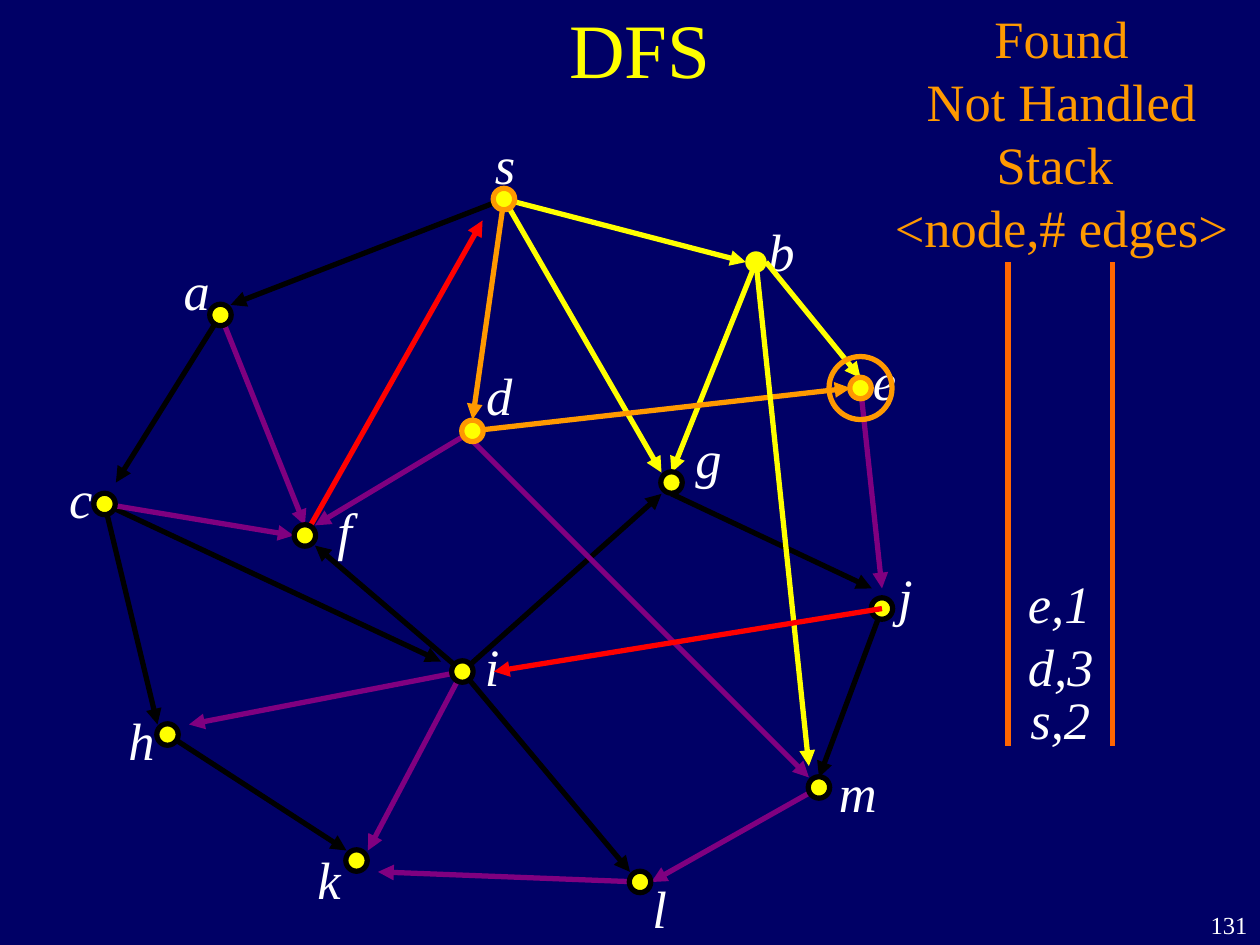
import pptx
import pptx.util
import pptx.dml.color
import pptx.enum.shapes
import pptx.enum.text
import pptx.oxml
from dataclasses import dataclass

Inches = pptx.util.Inches
Pt = pptx.util.Pt
ALIGN = pptx.enum.text.PP_ALIGN


@dataclass(frozen=True)
class Theme:
    font: str = "Times New Roman"
    background: str = "000066"
    yellow: str = "FFFF00"
    orange: str = "FF9900"
    rail: str = "FF6600"
    purple: str = "800080"
    black: str = "000000"
    red: str = "FF0000"
    white: str = "FFFFFF"
    title_size: int = 44
    text_size: int = 30
    number_size: int = 14
    line_width: int = 3


theme = Theme()
rgb = pptx.dml.color.RGBColor.from_string

deck = pptx.Presentation()
deck.slide_width, deck.slide_height = Inches(10), Inches(7.5)
page = deck.slides.add_slide(deck.slide_layouts[5])
page.background.fill.solid()
page.background.fill.fore_color.rgb = rgb(theme.background)


def write(box, text, size, color, align=ALIGN.LEFT, italic=False, spacing=None):
    frame = box.text_frame
    frame.text = text
    para = frame.paragraphs[0]
    para.alignment = align
    if spacing:
        para.line_spacing = Pt(spacing)
    style = {"name": theme.font, "size": Pt(size), "italic": italic, "bold": False}
    for span in para.runs:
        for key, value in style.items():
            setattr(span.font, key, value)
        span.font.color.rgb = rgb(color)


def draw_line(start, end, color, arrow=True):
    points = [Inches(value) for value in (*start, *end)]
    line = page.shapes.add_connector(pptx.enum.shapes.MSO_CONNECTOR.STRAIGHT, *points)
    line.line.width = Pt(theme.line_width)
    line.line.color.rgb = rgb(color)
    if arrow:
        outline = line.line._get_or_add_ln()
        outline.append(pptx.oxml.parse_xml(
            '<a:tailEnd xmlns:a="http://schemas.openxmlformats.org/drawingml/2006/main" type="triangle"/>'))
    line._element.spPr.append(pptx.oxml.parse_xml(
        '<a:effectLst xmlns:a="http://schemas.openxmlformats.org/drawingml/2006/main"/>'))


# Title
title = page.shapes.title
place = {"left": 0.83, "top": -0.25, "width": 8.5, "height": 1.25}
for key, value in place.items():
    setattr(title, key, Inches(value))
title.text_frame.vertical_anchor = pptx.enum.text.MSO_ANCHOR.MIDDLE
write(title, "DFS", theme.title_size, theme.yellow, ALIGN.CENTER)

# Page number
number = page.shapes.add_textbox(Inches(9.5), Inches(7.17), Inches(0.5), Inches(0.33))
write(number, "131", theme.number_size, theme.white, ALIGN.RIGHT)

# Nodes: centre and outline colour
nodes = {
    "b": ((6, 2.08), None),
    "s": ((4, 1.58), theme.orange),
    "a": ((1.75, 2.5), theme.black),
    "c": ((0.83, 4), theme.black),
    "i": ((3.67, 5.33), theme.black),
    "l": ((5.08, 7), theme.black),
    "k": ((2.83, 6.83), theme.black),
    "h": ((1.33, 5.83), theme.black),
    "g": ((5.33, 3.83), theme.black),
    "j": ((7, 4.83), theme.black),
    "m": ((6.5, 6.25), theme.black),
    "f": ((2.42, 4.25), theme.black),
    "d": ((3.75, 3.42), theme.orange),
    "e": ((6.83, 3.08), theme.orange),
}

# Node letters and stack entries: left, top, width
labels = {
    "s": (3.83, 1, 0.36), "a": (1.36, 2, 0.41), "c": (0.45, 3.65, 0.39),
    "h": (0.92, 5.57, 0.41), "k": (2.42, 6.67, 0.39), "f": (2.58, 3.9, 0.32),
    "i": (3.75, 4.98, 0.32), "l": (5.08, 6.9, 0.32), "m": (6.56, 5.98, 0.5),
    "j": (7.03, 4.43, 0.32), "e": (6.83, 2.71, 0.39), "b": (6, 1.69, 0.41),
    "g": (5.42, 3.33, 0.41), "d": (3.76, 2.83, 0.41),
    "e,1": (8.06, 4.48, 0.7), "d,3": (8.06, 4.98, 0.72), "s,2": (8.08, 5.4, 0.68),
}
for text, (left, top, width) in labels.items():
    box = page.shapes.add_textbox(Inches(left), Inches(top), Inches(width), Inches(0.6))
    box.text_frame.word_wrap = False
    write(box, text, theme.text_size, theme.white, italic=True, spacing=36)

# Edges: start node or point, arrow tip, colour
edges = [
    ("s", (1.83, 2.42), theme.black),
    ("s", (3.75, 3.33), theme.orange),
    ("s", (5.25, 3.75), theme.yellow),
    ("s", (5.92, 2.08), theme.yellow),
    ("b", (5.33, 3.75), theme.yellow),
    ("i", (5.25, 3.92), theme.black),
    ("d", (6.75, 3.08), theme.orange),
    ((6.08, 2.08), (6.83, 3), theme.yellow),
    ((5.33, 3.92), (6.92, 4.67), theme.black),
    ("e", (7, 4.67), theme.purple),
    ((3.75, 3.5), (6.42, 6.17), theme.purple),
    ("d", (2.5, 4.17), theme.purple),
    ("a", (2.42, 4.17), theme.purple),
    ("a", (0.92, 3.83), theme.black),
    ("c", (3.5, 5.25), theme.black),
    ("i", (2.92, 6.75), theme.purple),
    ("i", (5, 6.92), theme.black),
    ("i", (1.5, 5.75), theme.purple),
    ("m", (5.17, 7), theme.purple),
    ("i", (2.5, 4.33), theme.black),
    ("j", (6.5, 6.17), theme.black),
    ("l", (3, 6.92), theme.purple),
    ("f", (3.83, 1.75), theme.red),
    ("h", (2.75, 6.75), theme.black),
    ("c", (1.25, 5.75), theme.black),
    ("c", (2.33, 4.25), theme.purple),
    ("b", (6.42, 6.08), theme.yellow),
]
for start, tip, color in edges:
    draw_line(nodes[start][0] if start in nodes else start, tip, color)

# Node dots, then the ring around the current node
dots = [(center, 0.17, theme.yellow, outline) for center, outline in nodes.values()]
ring = (nodes["e"][0], 0.5, None, theme.orange)
for (x, y), size, fill, outline in dots + [ring]:
    dot = page.shapes.add_shape(
        pptx.enum.shapes.MSO_SHAPE.OVAL,
        Inches(x - size / 2), Inches(y - size / 2), Inches(size), Inches(size))
    dot.shadow.inherit = False
    if fill:
        dot.fill.solid()
        dot.fill.fore_color.rgb = rgb(fill)
    else:
        dot.fill.background()
    if outline:
        dot.line.width = Pt(theme.line_width)
        dot.line.color.rgb = rgb(outline)
    else:
        dot.line.fill.background()

# Back edge that lies over its node
draw_line(nodes["j"][0], (3.92, 5.33), theme.red)

# Stack rails and heading
for x in (8, 8.83):
    draw_line((x, 2.08), (x, 5.92), theme.rail, arrow=False)
heading = page.shapes.add_textbox(Inches(7), Inches(0), Inches(2.85), Inches(2.1))
heading.text_frame.word_wrap = False
write(heading, "Found\vNot Handled\vStack \v<node,# edges>",
      theme.text_size, theme.orange, ALIGN.CENTER, spacing=36)

deck.save("out.pptx")
